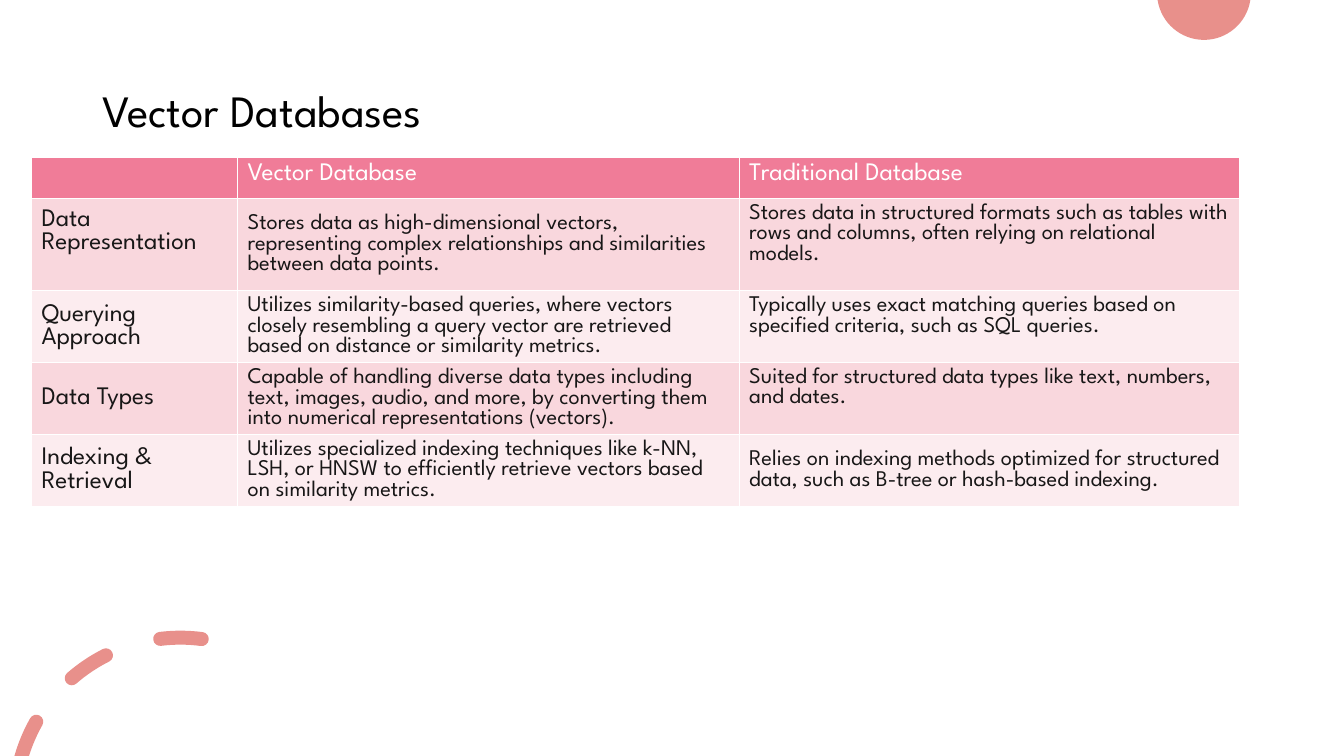
from dataclasses import dataclass
from math import cos, radians, sin, tan

from lxml import etree
from pptx import Presentation
from pptx.dml import color as dml
from pptx.enum import text
from pptx.oxml import ns
from pptx.util import Pt

FONT = "League Spartan"
HEX = {"coral": "E8908B", "head": "F07C98", "odd": "F9D7DD", "even": "FCECEF",
       "ink": "181717", "black": "000000", "white": "FFFFFF"}
MID, TOP = text.MSO_ANCHOR.MIDDLE, text.MSO_ANCHOR.TOP
Point = tuple[float, float]


@dataclass
class Item:
    words: str
    size: float = 16
    foot: float = 3.6


@dataclass
class Row:
    fill: str
    ink: str
    items: list[Item]
    anchor: text.MSO_ANCHOR = MID


@dataclass
class Dash:
    outer: float
    inner: float
    end: float


ROWS = [
    Row("head", "white", [
        Item("", 18),
        Item("Vector Database", 18),
        Item("Traditional Database", 18)], TOP),
    Row("odd", "ink", [
        Item("Data Representation", 18, 22),
        Item("Stores data as high-dimensional vectors, representing complex "
             "relationships and similarities between data points."),
        Item("Stores data in structured formats such as tables with rows and "
             "columns, often relying on relational models.", foot=18.4)]),
    Row("even", "ink", [
        Item("Querying Approach", 18),
        Item("Utilizes similarity-based queries, where vectors closely resembling "
             "a query vector are retrieved based on distance or similarity metrics."),
        Item("Typically uses exact matching queries based on specified criteria, "
             "such as SQL queries.", foot=18.4)]),
    Row("odd", "ink", [
        Item("Data Types", 18),
        Item("Capable of handling diverse data types including text, images, audio, "
             "and more, by converting them into numerical representations (vectors)."),
        Item("Suited for structured data types like text, numbers, and dates.",
             foot=18.4)]),
    Row("even", "ink", [
        Item("Indexing & Retrieval", 18),
        Item("Utilizes specialized indexing techniques like k-NN, LSH, or HNSW to "
             "efficiently retrieve vectors based on similarity metrics."),
        Item("Relies on indexing methods optimized for structured data, such as "
             "B-tree or hash-based indexing.")]),
]
COLS = [147.2, 358.3, 357.4]
HIGH = 29.2
DASHES = [Dash(74.1, 72.6, 60.5), Dash(41, 41, 26.7), Dash(7, 7, -7.4)]
HUB, REACH, HALF = (128.9, 573.8), 118.3, 5


def rgb(name: str) -> dml.RGBColor:
    return dml.RGBColor.from_string(HEX[name])


def spot(hub: Point, reach: float, turn: float) -> Point:
    return hub[0] - reach * sin(radians(turn)), hub[1] - reach * cos(radians(turn))


def arc(hub: Point, reach: float, start: float, end: float, parts: int = 1) -> list[Point]:
    step = (end - start) / parts
    pull = reach * 4 / 3 * tan(radians(step) / 4)
    points = []
    for i in range(parts):
        a, b = start + i * step, start + (i + 1) * step
        (ax, ay), (bx, by) = spot(hub, reach, a), spot(hub, reach, b)
        points += [(ax - pull * cos(radians(a)), ay + pull * sin(radians(a))),
                   (bx + pull * cos(radians(b)), by - pull * sin(radians(b))),
                   (bx, by)]
    return points


def outline(dash: Dash) -> list[Point]:
    loop = [spot(HUB, REACH + HALF, dash.outer)]
    loop += arc(HUB, REACH + HALF, dash.outer, dash.end)
    loop += arc(spot(HUB, REACH, dash.end), HALF, dash.end, dash.end - 180, 2)
    loop += arc(HUB, REACH - HALF, dash.end, dash.inner)
    if dash.outer == dash.inner:
        tail = spot(HUB, REACH, dash.outer)
        loop += arc(tail, HALF, dash.outer + 180, dash.outer, 2)
    return loop


def bend(shape) -> None:
    lines = list(shape._element.iter(ns.qn("a:lnTo")))
    for i in range(0, len(lines), 3):
        curve = etree.Element(ns.qn("a:cubicBezTo"))
        lines[i].addprevious(curve)
        for line in lines[i:i + 3]:
            curve.append(line[0])
            line.getparent().remove(line)


def draw(slide, loops: list[list[Point]]) -> None:
    loops = [[(Pt(x), Pt(y)) for x, y in loop] for loop in loops]
    pen = slide.shapes.build_freeform(*loops[0][0])
    for i, loop in enumerate(loops):
        if i:
            pen.move_to(*loop[0])
        pen.add_line_segments(loop[1:], close=True)
    shape = pen.convert_to_shape()
    bend(shape)
    shape.shadow.inherit = False
    shape.fill.solid()
    shape.fill.fore_color.rgb = rgb("coral")
    shape.line.fill.background()


def style(para, size: float, ink: str) -> None:
    para.font.name = FONT
    para.font.size = Pt(size)
    para.font.bold = False
    para.font.color.rgb = rgb(ink)


def edge(cell) -> None:
    props = cell._tc.get_or_add_tcPr()
    for side in "LRTB":
        line = etree.SubElement(props, ns.qn(f"a:ln{side}"), w=str(Pt(1)))
        paint = etree.SubElement(line, ns.qn("a:solidFill"))
        etree.SubElement(paint, ns.qn("a:srgbClr"), val=HEX["white"])


def put(cell, item: Item, row: Row) -> None:
    edge(cell)
    cell.fill.solid()
    cell.fill.fore_color.rgb = rgb(row.fill)
    cell.vertical_anchor = row.anchor
    cell.margin_bottom = Pt(item.foot)
    cell.text = item.words
    style(cell.text_frame.paragraphs[0], item.size, row.ink)


def grid(slide) -> None:
    frame = slide.shapes.add_table(len(ROWS), len(COLS), Pt(22.5), Pt(112.6),
                                   Pt(sum(COLS)), Pt(HIGH * len(ROWS)))
    table = frame.table
    for col, wide in zip(table.columns, COLS):
        col.width = Pt(wide)
    for line, row in zip(table.rows, ROWS):
        line.height = Pt(HIGH)
        for cell, item in zip(line.cells, row.items):
            put(cell, item, row)


def head(slide) -> None:
    title = slide.shapes.title
    title.left, title.top, title.width, title.height = map(Pt, (66, 28.8, 828, 104.4))
    title.text = "Vector Databases"
    title.text_frame.vertical_anchor = MID
    para = title.text_frame.paragraphs[0]
    para.alignment = text.PP_ALIGN.LEFT
    para.line_spacing = 0.9
    style(para, 32, "black")


def main() -> None:
    deck = Presentation()
    deck.slide_width, deck.slide_height = Pt(960), Pt(540)
    slide = deck.slides.add_slide(deck.slide_layouts[5])
    ball = (860, -5)
    draw(slide, [[spot(ball, 33.5, 98.6)] + arc(ball, 33.5, 98.6, 261.4, 2)])
    draw(slide, [outline(dash) for dash in DASHES])
    head(slide)
    grid(slide)
    deck.save("out.pptx")


if __name__ == "__main__":
    main()
